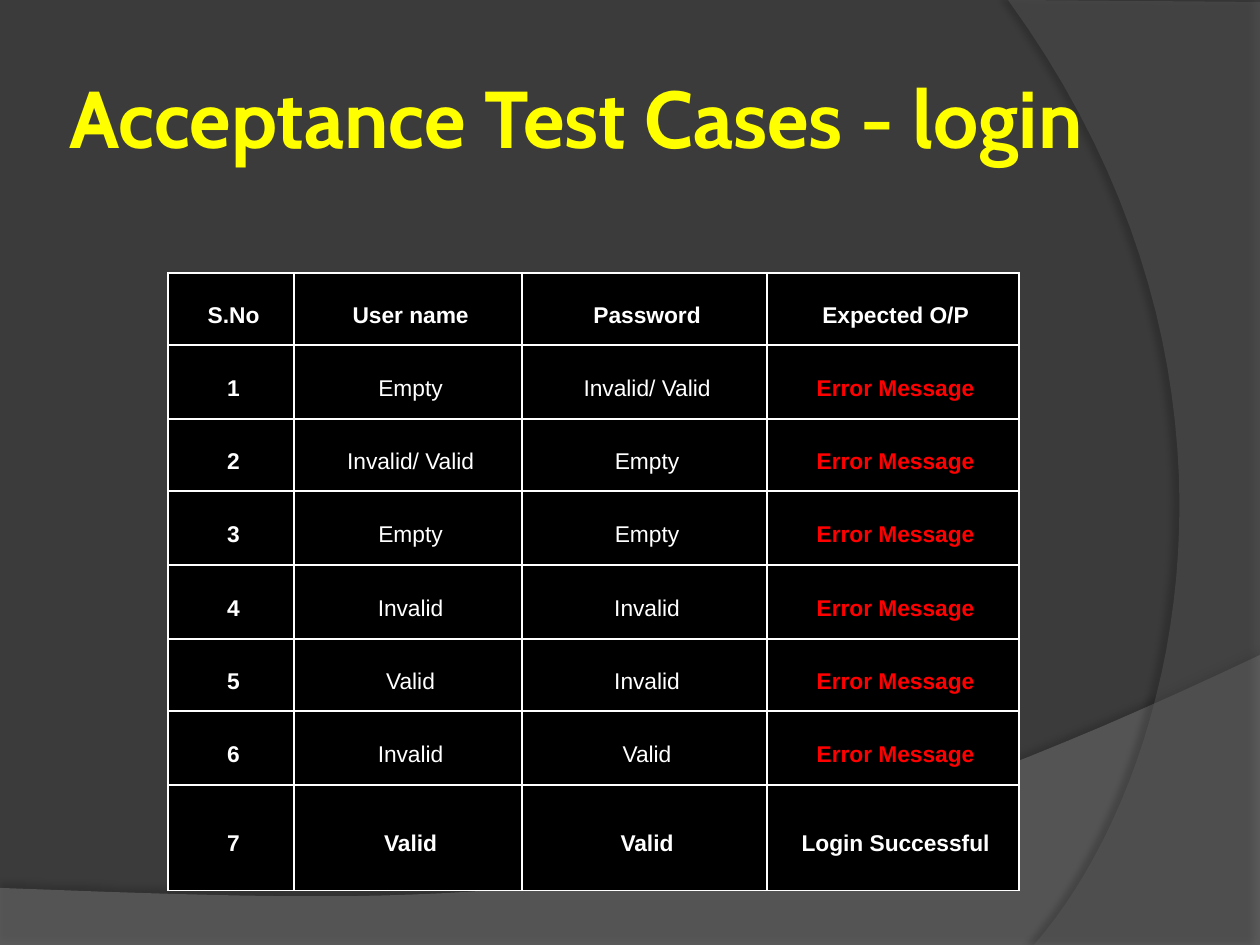
import lxml.etree
import pptx
import pptx.dml.color
import pptx.enum.text
import pptx.oxml
import pptx.oxml.ns
import pptx.util

PX = 914400 / 126
FINE = 10
STEPS = 40

THEME = {
    "background": "3B3B3B", "title": "FFFF00", "text": "FFFFFF",
    "error": "FF0000", "cell": "000000", "border": "FFFFFF",
    "title_font": "Cabin", "table_font": "Arial",
    "title_size": 46, "table_size": 13, "border_width": 1,
}

TITLE = "Acceptance Test Cases - login"
TITLE_BOX = (63, 38, 1029, 157)

ERROR = "Error Message"
ROWS = [
    ("S.No", "User name", "Password", "Expected O/P"),
    ("1", "Empty", "Invalid/ Valid", ERROR),
    ("2", "Invalid/ Valid", "Empty", ERROR),
    ("3", "Empty", "Empty", ERROR),
    ("4", "Invalid", "Invalid", ERROR),
    ("5", "Valid", "Invalid", ERROR),
    ("6", "Invalid", "Valid", ERROR),
    ("7", "Valid", "Valid", "Login Successful"),
]
TABLE_AT = (168, 273)
COL_WIDTHS = [126, 228, 245, 252]
ROW_HEIGHTS = [72, 74, 72, 74, 74, 72, 74, 106]

WAVES = [
    {"corners": [(0, 888), (0, 946), (1260, 946)],
     "curve": [(1260, 655), (704, 919), (493, 906), (0, 888)],
     "color": "7F7F7F", "opacity": 45,
     "shadow": {"opacity": 35, "blur": 4, "dist": 3.5, "angle": 270}},
    {"corners": [(1260, 2), (1260, 945)],
     "curve": [(1034, 945), (1178, 780), (1283, 378), (1008, 0)],
     "color": "5E5E5E", "opacity": 40,
     "shadow": {"opacity": 45, "blur": 4, "dist": 4, "angle": 180}},
]


def px(n):
    return round(n * PX)


def rgb(name):
    return pptx.dml.color.RGBColor.from_string(THEME.get(name, name))


def bezier(points):
    weights = (1, 3, 3, 1)
    for i in range(STEPS + 1):
        t = i / STEPS
        yield tuple(sum(w * (1 - t) ** (3 - k) * t ** k * p[axis]
                        for k, (w, p) in enumerate(zip(weights, points)))
                    for axis in (0, 1))


def add_alpha(color, percent):
    alpha = lxml.etree.SubElement(color, pptx.oxml.ns.qn("a:alpha"))
    alpha.set("val", str(percent * 1000))


def add_wave(s, wave):
    points = [(x * FINE, y * FINE)
              for x, y in [*wave["corners"], *bezier(wave["curve"])]]
    builder = s.shapes.build_freeform(*points[0], scale=PX / FINE)
    builder.add_line_segments(points[1:], close=True)
    sp = builder.convert_to_shape()
    sp.fill.solid()
    sp.fill.fore_color.rgb = rgb(wave["color"])
    sp.line.fill.background()
    sp.shadow.inherit = False
    qn = pptx.oxml.ns.qn
    add_alpha(next(sp.element.spPr.iter(qn("a:srgbClr"))), wave["opacity"])
    shadow = wave["shadow"]
    effects = sp.element.spPr.find(qn("a:effectLst"))
    outer = lxml.etree.SubElement(effects, qn("a:outerShdw"), {
        "blurRad": str(pptx.util.Pt(shadow["blur"])),
        "dist": str(pptx.util.Pt(shadow["dist"])),
        "dir": str(shadow["angle"] * 60000), "rotWithShape": "0"})
    color = lxml.etree.SubElement(outer, qn("a:srgbClr"), {"val": "000000"})
    add_alpha(color, shadow["opacity"])
    s.shapes.title.element.addprevious(sp.element)


def style_run(r, font, size, color, bold):
    r.font.name = THEME[font]
    r.font.size = pptx.util.Pt(THEME[size])
    r.font.color.rgb = rgb(color)
    r.font.bold = bold


def add_title(s):
    sp = s.shapes.title
    sp.left, sp.top, sp.width, sp.height = map(px, TITLE_BOX)
    tf = sp.text_frame
    tf.text = TITLE
    tf.word_wrap = True
    tf.auto_size = pptx.enum.text.MSO_AUTO_SIZE.NONE
    tf.vertical_anchor = pptx.enum.text.MSO_ANCHOR.MIDDLE
    tf.margin_left = tf.margin_right = tf.margin_top = tf.margin_bottom = px(6)
    p = tf.paragraphs[0]
    p.alignment = pptx.enum.text.PP_ALIGN.LEFT
    style_run(p.runs[0], "title_font", "title_size", "title", True)


def add_borders(cell):
    tc_pr = cell._tc.get_or_add_tcPr()
    width = pptx.util.Pt(THEME["border_width"])
    for i, side in enumerate("LRTB"):
        tc_pr.insert(i, pptx.oxml.parse_xml(
            f'<a:ln{side} {pptx.oxml.ns.nsdecls("a")} w="{width}"><a:solidFill>'
            f'<a:srgbClr val="{THEME["border"]}"/></a:solidFill></a:ln{side}>'))


def fill_cell(cell, text, bold):
    cell.fill.solid()
    cell.fill.fore_color.rgb = rgb("cell")
    add_borders(cell)
    cell.vertical_anchor = pptx.enum.text.MSO_ANCHOR.MIDDLE
    cell.margin_left = cell.margin_right = px(9)
    cell.margin_top = cell.margin_bottom = 0
    p = cell.text_frame.paragraphs[0]
    p.text = text
    p.alignment = pptx.enum.text.PP_ALIGN.CENTER
    p.line_spacing = 1.5
    p._p.get_or_add_pPr().set("indent", str(px(5)))
    color = "error" if text == ERROR else "text"
    style_run(p.runs[0], "table_font", "table_size", color, bold)


def add_cases(s):
    size = map(px, (sum(COL_WIDTHS), sum(ROW_HEIGHTS)))
    table = s.shapes.add_table(len(ROWS), len(COL_WIDTHS),
                               *map(px, TABLE_AT), *size).table
    for column, width in zip(table.columns, COL_WIDTHS):
        column.width = px(width)
    for row, height in zip(table.rows, ROW_HEIGHTS):
        row.height = px(height)
    last_row, last_col = len(ROWS) - 1, len(COL_WIDTHS) - 1
    for i, texts in enumerate(ROWS):
        for j, text in enumerate(texts):
            bold = i in (0, last_row) or j in (0, last_col)
            fill_cell(table.cell(i, j), text, bold)


def main():
    prs = pptx.Presentation()
    prs.slide_width, prs.slide_height = px(1260), px(945)
    s = prs.slides.add_slide(prs.slide_layouts[5])
    s.background.fill.solid()
    s.background.fill.fore_color.rgb = rgb("background")
    for wave in WAVES:
        add_wave(s, wave)
    add_title(s)
    add_cases(s)
    prs.save("out.pptx")


if __name__ == "__main__":
    main()
